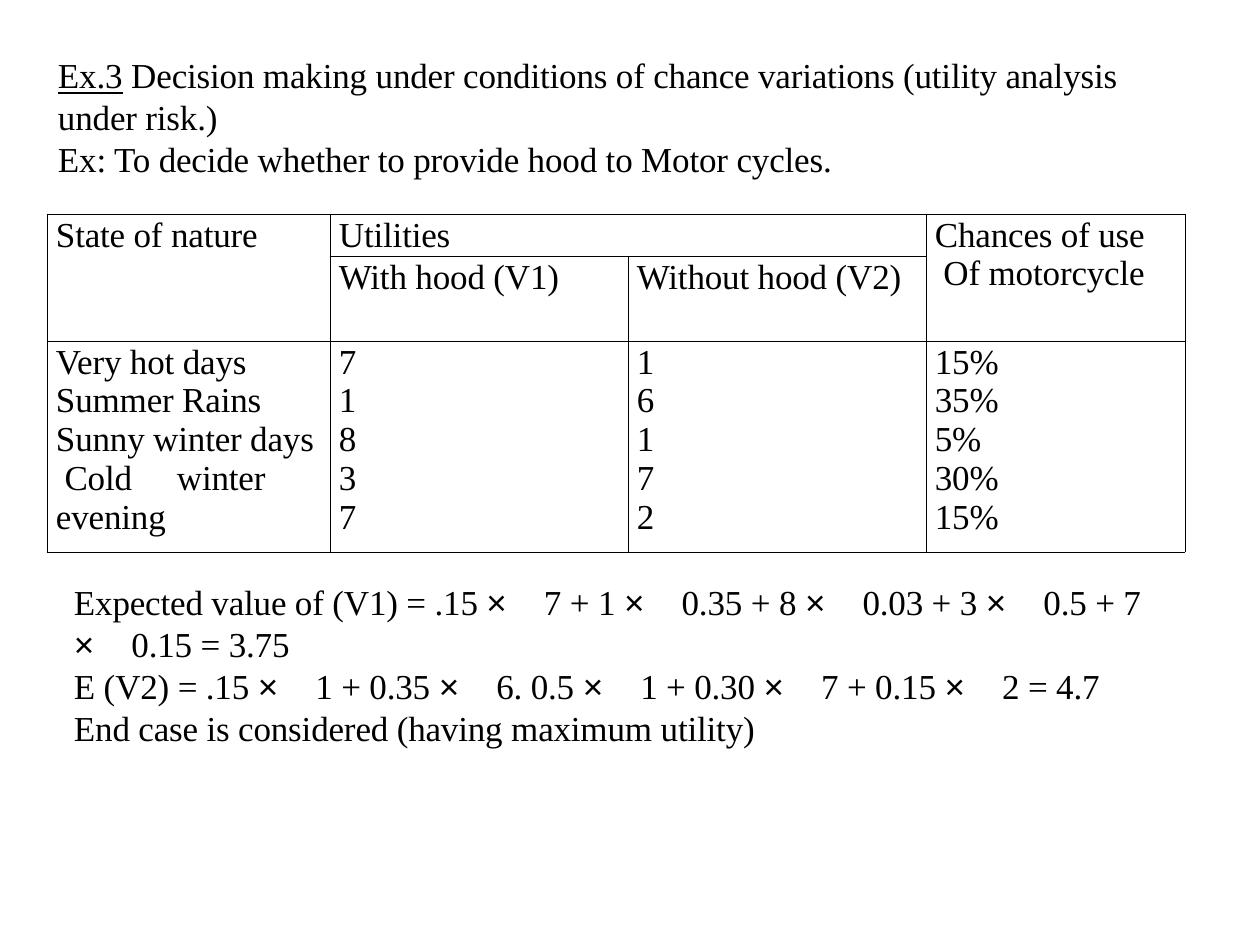
import pptx
import pptx.dml.color
import pptx.oxml.ns
import pptx.util
from lxml import etree

PX = 914400 // 126
BLACK = "000000"
SERIF = {"name": "Times New Roman", "size": pptx.util.Pt(20), "underline": False}
UNDERLINED = {**SERIF, "underline": True}
TIMES_SIGN = {**SERIF, "name": "Arial"}
TIGHT, WIDE = -10, 780  # letter spacing in hundredths of a point
TEXT_LEADING, CELL_LEADING = 24, 22.15

HEADING = [
    [("Ex.3", UNDERLINED, TIGHT),
     (" Decision making under conditions of chance variations "
      "(utility analysis under risk.)", SERIF, TIGHT)],
    [("Ex: To decide whether to provide hood to Motor cycles.", SERIF, TIGHT)],
]
EXPECTED_VALUES = [
    "Expected value of (V1) = .15 × 7 + 1 × 0.35 + 8 × 0.03 + 3 × 0.5 + 7 × 0.15 = 3.75",
    "E (V2) = .15 × 1 + 0.35 × 6. 0.5 × 1 + 0.30 × 7 + 0.15 × 2 = 4.7",
    "End case is considered (having maximum utility)",
]
COLUMN_WIDTHS = [283, 298, 298, 259]
ROW_HEIGHTS = [42, 85, 211]
CELLS = {
    (0, 0): ["State of nature"],
    (0, 1): ["Utilities"],
    (0, 3): ["Chances of use", " Of motorcycle"],
    (1, 1): ["With hood (V1)"],
    (1, 2): ["Without hood (V2)"],
    (2, 0): ["Very hot days", "Summer Rains", "Sunny winter days",
             " Cold\twinter", "evening"],
    (2, 1): ["7", "1", "8", "3", "7"],
    (2, 2): ["1", "6", "1", "7", "2"],
    (2, 3): ["15%", "35%", "5%", "30%", "15%"],
}
MERGES = [((0, 0), (1, 0)), ((0, 1), (0, 2)), ((0, 3), (1, 3))]
WINTER_TAB = 121


def color(hex_text):
    return pptx.dml.color.RGBColor.from_string(hex_text)


def split_products(line):
    """Set each multiplication sign as a widely spaced run of its own."""
    first, *factors = line.split("× ")
    runs = [(first, SERIF, TIGHT)]
    for factor in factors:
        runs += [("× ", TIMES_SIGN, WIDE), (factor, SERIF, TIGHT)]
    return runs


def write(frame, paragraphs, leading):
    for index, runs in enumerate(paragraphs):
        paragraph = frame.add_paragraph() if index else frame.paragraphs[0]
        paragraph.line_spacing = pptx.util.Pt(leading)
        for text, font_format, spacing in runs:
            run = paragraph.add_run()
            run.text = text
            run.font.color.rgb = color(BLACK)
            for name, value in font_format.items():
                setattr(run.font, name, value)
            run._r.get_or_add_rPr().set("spc", str(spacing))


def add_text(slide, box, insets, paragraphs):
    frame = slide.shapes.add_textbox(*(PX * length for length in box)).text_frame
    frame.word_wrap = True
    frame.margin_left, frame.margin_top = (PX * inset for inset in insets)
    write(frame, paragraphs, TEXT_LEADING)


def add_tab_stop(paragraph, position):
    tabs = etree.SubElement(paragraph._p.get_or_add_pPr(), pptx.oxml.ns.qn("a:tabLst"))
    etree.SubElement(tabs, pptx.oxml.ns.qn("a:tab"), pos=str(PX * position), algn="l")


def add_borders(cell):
    properties = cell._tc.get_or_add_tcPr()
    for index, side in enumerate(("lnL", "lnR", "lnT", "lnB")):
        line = etree.Element(pptx.oxml.ns.qn("a:" + side), w="6350")
        fill = etree.SubElement(line, pptx.oxml.ns.qn("a:solidFill"))
        etree.SubElement(fill, pptx.oxml.ns.qn("a:srgbClr"), val=BLACK)
        properties.insert(index, line)


def add_utility_table(slide, left, top):
    table = slide.shapes.add_table(
        len(ROW_HEIGHTS), len(COLUMN_WIDTHS), PX * left, PX * top,
        PX * sum(COLUMN_WIDTHS), PX * sum(ROW_HEIGHTS)).table
    table.first_row = table.horz_banding = False
    for column, width in zip(table.columns, COLUMN_WIDTHS):
        column.width = PX * width
    for row, height in zip(table.rows, ROW_HEIGHTS):
        row.height = PX * height
    margins = {"margin_left": PX * 9, "margin_top": PX * 2,
               "margin_right": 0, "margin_bottom": 0}
    for cell in table.iter_cells():
        cell.fill.background()
        add_borders(cell)
        for name, value in margins.items():
            setattr(cell, name, value)
    for start, end in MERGES:
        table.cell(*start).merge(table.cell(*end))
    for place, lines in CELLS.items():
        frame = table.cell(*place).text_frame
        write(frame, [[(line, SERIF, TIGHT)] for line in lines], CELL_LEADING)
        for paragraph, line in zip(frame.paragraphs, lines):
            if "\t" in line:
                add_tab_stop(paragraph, WINTER_TAB)


def main():
    deck = pptx.Presentation()
    deck.slide_width, deck.slide_height = PX * 1260, PX * 945
    slide = deck.slides.add_slide(deck.slide_layouts[6])
    add_text(slide, (44, 45, 1171, 140), (14, 9), HEADING)
    add_utility_table(slide, 47, 214)
    add_text(slide, (44, 572, 1150, 183), (30, 8),
             [split_products(line) for line in EXPECTED_VALUES])
    deck.save("out.pptx")


if __name__ == "__main__":
    main()
